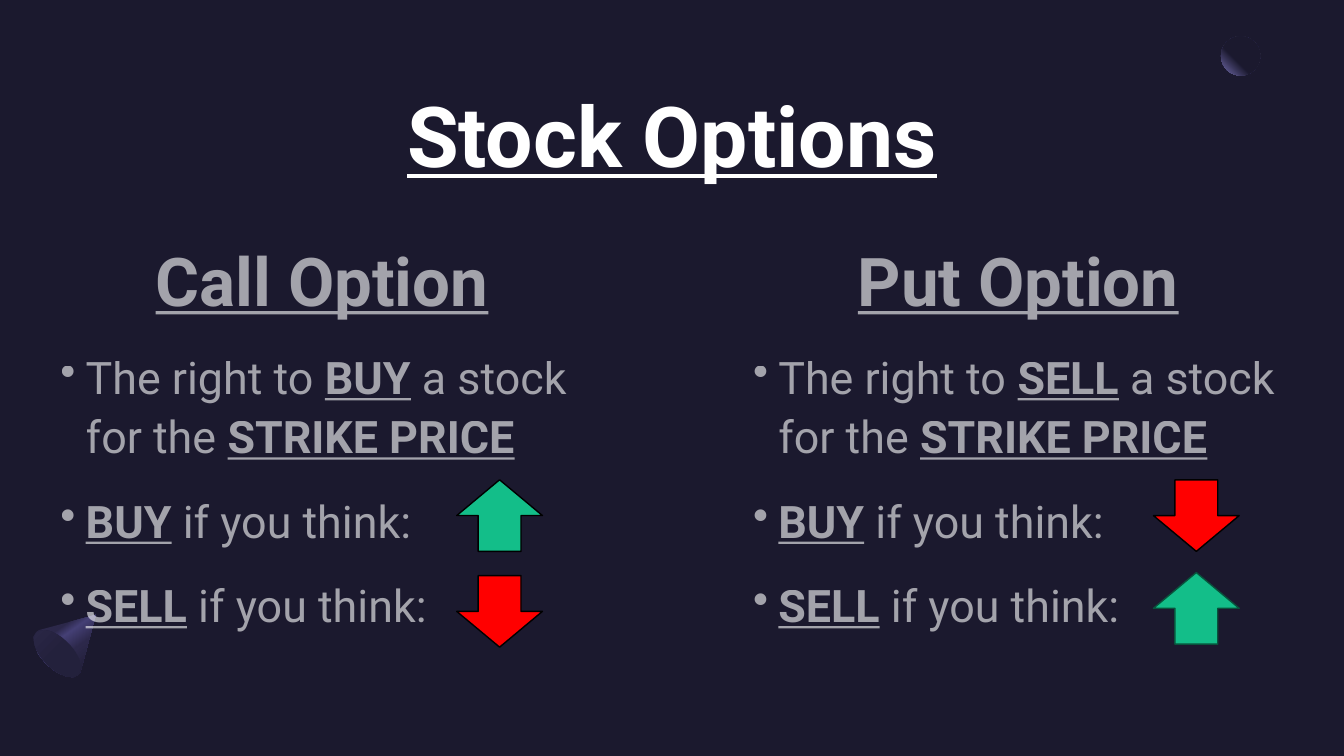
from dataclasses import dataclass

from pptx import Presentation
from pptx.dml.color import RGBColor
from pptx.enum.shapes import MSO_SHAPE
from pptx.enum.text import MSO_ANCHOR, PP_ALIGN
from pptx.oxml import parse_xml
from pptx.oxml.ns import nsdecls, qn
from pptx.shapes.autoshape import Shape
from pptx.slide import Slide
from pptx.util import Inches, Pt

OVAL = MSO_SHAPE.OVAL
UP_ARROW = MSO_SHAPE.UP_ARROW
MIDDLE = MSO_ANCHOR.MIDDLE
TOP = MSO_ANCHOR.TOP
CENTER = PP_ALIGN.CENTER
LEFT = PP_ALIGN.LEFT


@dataclass(frozen=True)
class Theme:
    font: str = "Roboto"
    background: str = "1B192E"
    text: str = "FFFFFF"
    rise: str = "13BE89"
    rise_edge: str = "08533C"
    fall: str = "FF0000"
    edge: str = "000000"
    glow: str = "7771B2"
    cone_light: str = "454075"
    cone_mid: str = "2C284A"
    cone_dark: str = "23213C"
    title_size: int = 60
    heading_size: int = 48
    body_size: int = 32
    body_opacity: int = 60


@dataclass(frozen=True)
class Box:
    left: float
    top: float
    width: float
    height: float


@dataclass(frozen=True)
class Span:
    text: str
    strong: bool = False


@dataclass(frozen=True)
class Option:
    heading: str
    right: str
    box: Box


@dataclass(frozen=True)
class Arrow:
    left: float
    top: float
    rising: bool
    edge: str


THEME = Theme()
TITLE_BOX = Box(0.6, 0.6, 12.13, 1.46)
ARROW_WIDTH, ARROW_HEIGHT = 0.85, 0.71
OPTIONS = (
    Option("Call Option", "BUY", Box(0.6, 2.29, 5.19, 4.37)),
    Option("Put Option", "SELL", Box(7.47, 2.29, 5.26, 4.37)),
)
ARROWS = (
    Arrow(4.53, 4.76, True, THEME.edge),
    Arrow(11.44, 5.68, True, THEME.rise_edge),
    Arrow(4.53, 5.71, False, THEME.edge),
    Arrow(11.44, 4.76, False, THEME.edge),
)
CONE_OUTLINE = (
    (0.95, 6.1), (0.8, 6.66), (0.78, 6.69), (0.73, 6.72), (0.66, 6.71),
    (0.56, 6.67), (0.46, 6.59), (0.38, 6.49), (0.34, 6.39), (0.33, 6.32),
    (0.36, 6.27), (0.39, 6.25),
)
LINEAR = '<a:lin ang="{}" scaled="0"/>'
TOP_RIGHT_CIRCLE = (
    '<a:path path="circle"><a:fillToRect l="100000" t="0" r="0" b="100000"/></a:path>'
)


def fill_gradient(shape: Shape, stops: list[tuple[int, str]], direction: str) -> None:
    shape.shadow.inherit = False
    shape.line.fill.background()
    shape.fill.background()
    stop_xml = "".join(
        f'<a:gs pos="{position * 1000}"><a:srgbClr val="{color}"/></a:gs>'
        for position, color in stops
    )
    gradient = parse_xml(
        f'<a:gradFill {nsdecls("a")} rotWithShape="1">'
        f"<a:gsLst>{stop_xml}</a:gsLst>{direction}</a:gradFill>"
    )
    properties = shape._element.spPr
    properties.replace(properties.find(qn("a:noFill")), gradient)


def add_preset(slide: Slide, preset: MSO_SHAPE, box: Box, rotation: float = 0) -> Shape:
    shape = slide.shapes.add_shape(
        preset, Inches(box.left), Inches(box.top), Inches(box.width), Inches(box.height)
    )
    shape.rotation = rotation
    shape.shadow.inherit = False
    return shape


def add_decorations(slide: Slide) -> None:
    moon = add_preset(slide, OVAL, Box(12.11, 0.36, 0.39, 0.39))
    fill_gradient(moon, [(60, THEME.background), (100, THEME.glow)], TOP_RIGHT_CIRCLE)

    apex, *rim = [(Inches(x), Inches(y)) for x, y in CONE_OUTLINE]
    builder = slide.shapes.build_freeform(*apex)
    builder.add_line_segments(rim, close=True)
    cone_stops = [
        (30, THEME.cone_mid), (40, THEME.cone_light),
        (60, THEME.cone_mid), (100, THEME.background),
    ]
    fill_gradient(builder.convert_to_shape(), cone_stops, LINEAR.format(55 * 60000))

    cone_base = add_preset(slide, OVAL, Box(0.42, 6.19, 0.3, 0.59), 135)
    base_stops = [(50, THEME.cone_dark), (100, THEME.cone_mid)]
    fill_gradient(cone_base, base_stops, LINEAR.format(90 * 60000))


def add_text_frame(slide: Slide, box: Box, anchor: MSO_ANCHOR):
    frame = slide.shapes.add_textbox(
        Inches(box.left), Inches(box.top), Inches(box.width), Inches(box.height)
    ).text_frame
    frame.word_wrap = True
    frame.vertical_anchor = anchor
    frame.margin_left = frame.margin_right = frame.margin_top = frame.margin_bottom = 0
    return frame


def write_paragraph(paragraph, spans: list[Span], size: int, align: PP_ALIGN) -> None:
    paragraph.alignment = align
    paragraph.font.name = THEME.font
    paragraph.font.size = Pt(size)
    paragraph.font.color.rgb = RGBColor.from_string(THEME.text)
    for span in spans:
        run = paragraph.add_run()
        run.text = span.text
        run.font.bold = run.font.underline = span.strong


def style_body(paragraph, bulleted: bool) -> None:
    paragraph.line_spacing = 1.1
    paragraph.space_before = Pt(10)
    paragraph.space_after = Pt(8)
    properties = paragraph._p.pPr
    color = properties.find(".//" + qn("a:srgbClr"))
    color.append(parse_xml(f'<a:alpha {nsdecls("a")} val="{THEME.body_opacity * 1000}"/>'))
    if bulleted:
        properties.set("marL", str(Inches(0.25)))
        properties.set("indent", str(-Inches(0.25)))
        bullet = parse_xml(f'<a:buChar {nsdecls("a")} char="•"/>')
        properties.find(qn("a:defRPr")).addprevious(bullet)


def add_option(slide: Slide, option: Option) -> None:
    frame = add_text_frame(slide, option.box, TOP)
    heading = frame.paragraphs[0]
    write_paragraph(heading, [Span(option.heading, True)], THEME.heading_size, CENTER)
    style_body(heading, False)
    points = [
        [Span("The right to "), Span(option.right, True),
         Span(" a stock for the "), Span("STRIKE PRICE", True)],
        *([Span(action, True), Span(" if you think:")] for action in ("BUY", "SELL")),
    ]
    for spans in points:
        point = frame.add_paragraph()
        write_paragraph(point, spans, THEME.body_size, LEFT)
        style_body(point, True)


def add_arrow(slide: Slide, arrow: Arrow) -> None:
    box = Box(arrow.left, arrow.top, ARROW_WIDTH, ARROW_HEIGHT)
    shape = add_preset(slide, UP_ARROW, box, 0 if arrow.rising else 180)
    shape.fill.solid()
    shape.fill.fore_color.rgb = RGBColor.from_string(THEME.rise if arrow.rising else THEME.fall)
    shape.line.color.rgb = RGBColor.from_string(arrow.edge)
    shape.line.width = Pt(1)


def main() -> None:
    presentation = Presentation()
    presentation.slide_width = Inches(13.33)
    presentation.slide_height = Inches(7.5)
    slide = presentation.slides.add_slide(presentation.slide_layouts[6])
    slide.background.fill.solid()
    slide.background.fill.fore_color.rgb = RGBColor.from_string(THEME.background)
    add_decorations(slide)
    title = add_text_frame(slide, TITLE_BOX, MIDDLE).paragraphs[0]
    write_paragraph(title, [Span("Stock Options", True)], THEME.title_size, CENTER)
    for option in OPTIONS:
        add_option(slide, option)
    for arrow in ARROWS:
        add_arrow(slide, arrow)
    presentation.save("out.pptx")


if __name__ == "__main__":
    main()
